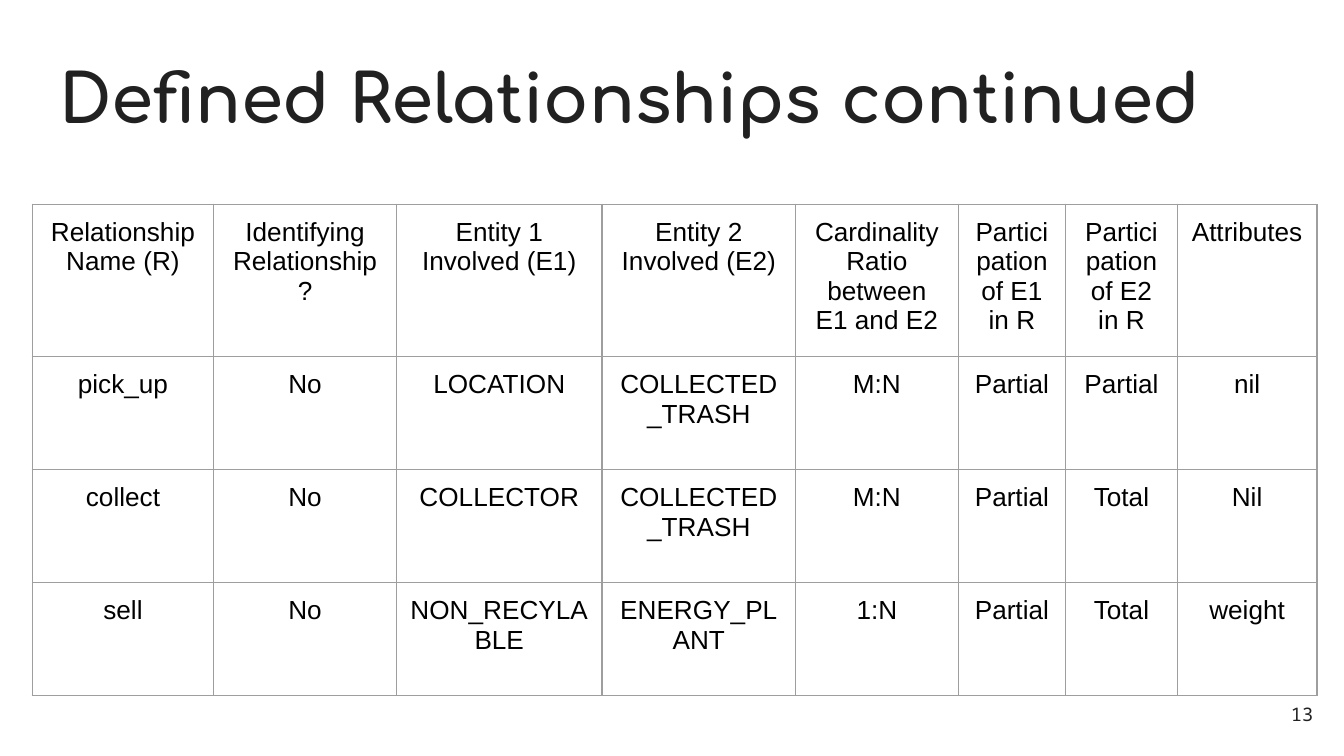
from lxml.etree import SubElement
from pptx import Presentation
from pptx.dml.color import RGBColor
from pptx.enum.text import MSO_ANCHOR, MSO_AUTO_SIZE, PP_ALIGN
from pptx.oxml.ns import qn
from pptx.util import Inches, Pt

COLORS = {"ink": "212121", "cell": "000000", "border": "9E9E9E"}
FORMATS = {
    "title": {"name": "Comfortaa", "size": Pt(36), "bold": True},
    "number": {"name": "Noto Sans Mono", "size": Pt(10), "bold": False},
    "cell": {"name": "Arial", "size": Pt(14), "bold": False},
}
MARGINS = ("margin_left", "margin_top", "margin_right", "margin_bottom")
COLUMN_WIDTHS = (1.35, 1.36, 1.53, 1.44, 1.21, 0.8, 0.83, 1.04)
RELATIONSHIPS = (
    ("Relationship Name (R)", "Identifying Relationship?",
     "Entity 1 Involved (E1)", "Entity 2 Involved (E2)",
     "Cardinality Ratio between E1 and E2", "Participation of E1 in R",
     "Participation of E2 in R", "Attributes"),
    ("pick_up", "No", "LOCATION", "COLLECTED_TRASH", "M:N",
     "Partial", "Partial", "nil"),
    ("collect", "No", "COLLECTOR", "COLLECTED_TRASH", "M:N",
     "Partial", "Total", "Nil"),
    ("sell", "No", "NON_RECYLABLE", "ENERGY_PLANT", "1:N",
     "Partial", "Total", "weight"),
)


def set_margins(target):
    for margin in MARGINS:
        setattr(target, margin, Inches(0.1))


def write_text(text_frame, text, style, color, alignment):
    paragraph = text_frame.paragraphs[0]
    paragraph.alignment = alignment
    run = paragraph.add_run()
    run.text = text
    for attribute, value in FORMATS[style].items():
        setattr(run.font, attribute, value)
    run.font.color.rgb = RGBColor.from_string(COLORS[color])
    size = FORMATS[style]["size"]
    SubElement(paragraph._p, qn("a:endParaRPr"), sz=str(int(size.pt * 100)))


def set_borders(cell):
    properties = cell._tc.get_or_add_tcPr()
    for index, side in enumerate(("a:lnL", "a:lnR", "a:lnT", "a:lnB")):
        line = properties.makeelement(qn(side), {"w": str(int(Pt(0.75)))})
        fill = SubElement(line, qn("a:solidFill"))
        SubElement(fill, qn("a:srgbClr"), val=COLORS["border"])
        properties.insert(index, line)


def add_title(slide, left, top, width, height):
    title = slide.shapes.title
    box = {"left": left, "top": top, "width": width, "height": height}
    for attribute, value in box.items():
        setattr(title, attribute, Inches(value))
    text_frame = title.text_frame
    text_frame.auto_size = MSO_AUTO_SIZE.NONE
    text_frame.vertical_anchor = MSO_ANCHOR.TOP
    set_margins(text_frame)
    write_text(text_frame, "Defined Relationships continued", "title", "ink",
               PP_ALIGN.LEFT)


def add_relationship_table(slide, left, top, width, height):
    frame = slide.shapes.add_table(
        len(RELATIONSHIPS), len(COLUMN_WIDTHS),
        Inches(left), Inches(top), Inches(width), Inches(height))
    table = frame.table
    table.first_row = False
    table.horz_banding = False
    for column, column_width in zip(table.columns, COLUMN_WIDTHS):
        column.width = Inches(column_width)
    for row, texts in zip(table.rows, RELATIONSHIPS):
        for cell, text in zip(row.cells, texts):
            cell.fill.background()
            cell.vertical_anchor = MSO_ANCHOR.TOP
            set_margins(cell)
            set_borders(cell)
            write_text(cell.text_frame, text, "cell", "cell", PP_ALIGN.CENTER)


def add_slide_number(slide, left, top, width, height):
    box = slide.shapes.add_textbox(
        Inches(left), Inches(top), Inches(width), Inches(height))
    text_frame = box.text_frame
    text_frame.word_wrap = True
    text_frame.vertical_anchor = MSO_ANCHOR.MIDDLE
    set_margins(text_frame)
    write_text(text_frame, "13", "number", "ink", PP_ALIGN.RIGHT)


def main():
    presentation = Presentation()
    presentation.slide_width = Inches(10)
    presentation.slide_height = Inches(10) * 9 // 16
    slide = presentation.slides.add_slide(presentation.slide_layouts[5])
    add_title(slide, 0.34, 0.32, 9.32, 0.88)
    add_slide_number(slide, 9.27, 5.1, 0.6, 0.43)
    add_relationship_table(slide, 0.24, 1.52, sum(COLUMN_WIDTHS),
                           0.84 * len(RELATIONSHIPS))
    presentation.save("out.pptx")


if __name__ == "__main__":
    main()
